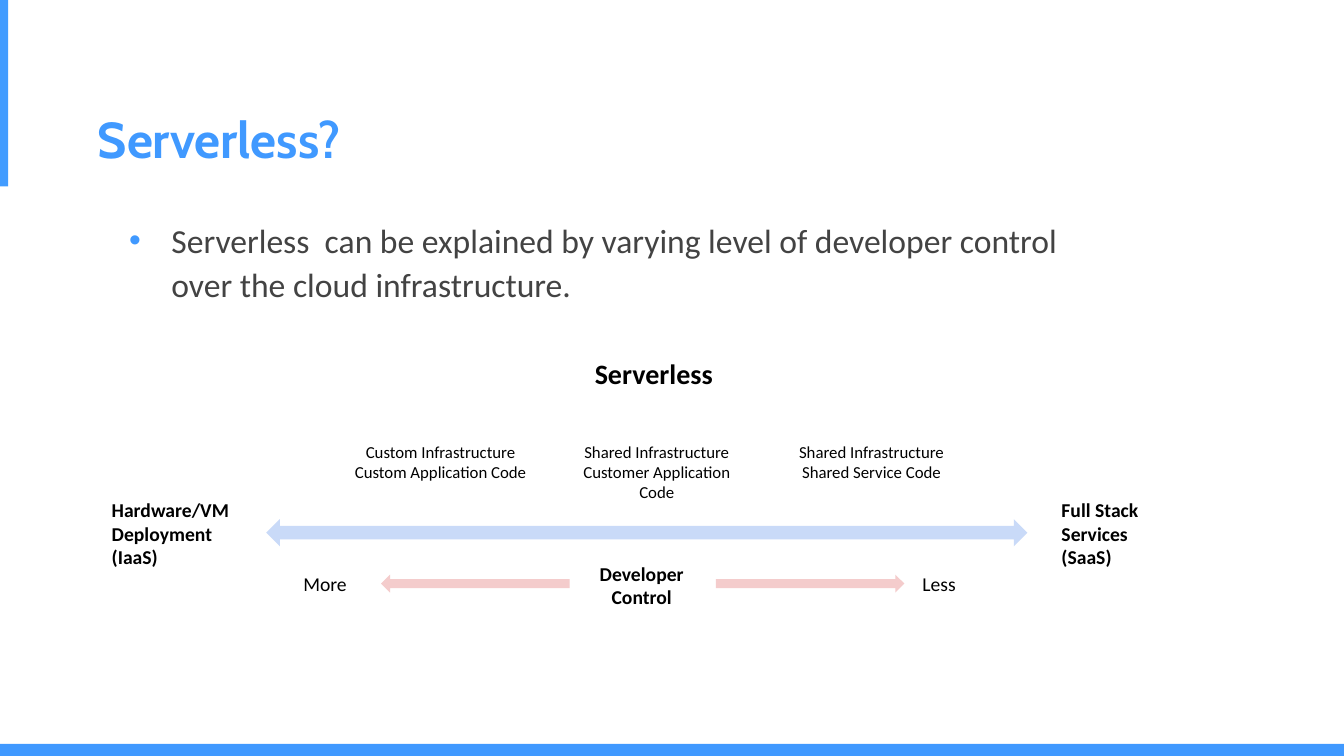
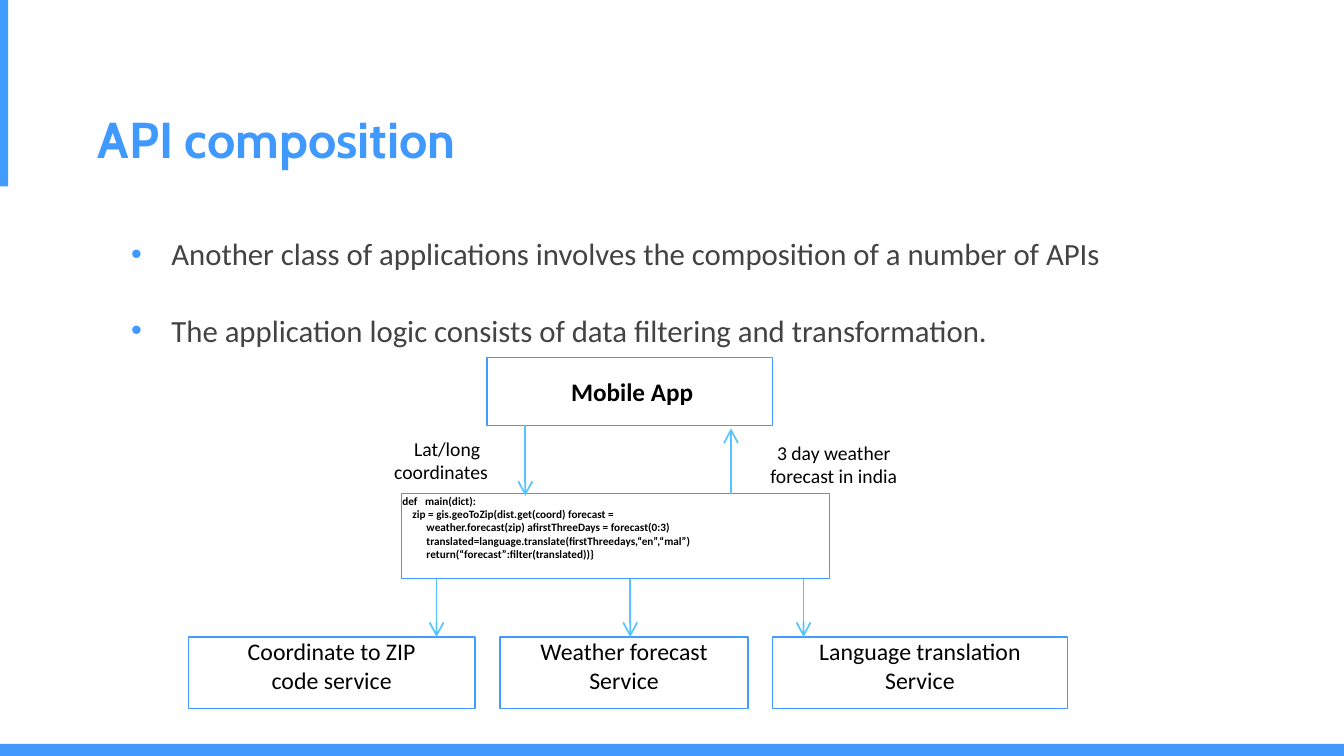
"""Build two slides on serverless control levels and API composition."""
from lxml.etree import SubElement
from pptx import Presentation
from pptx.dml.color import RGBColor
from pptx.enum.shapes import MSO_CONNECTOR, MSO_SHAPE
from pptx.enum.text import MSO_ANCHOR, PP_ALIGN
from pptx.oxml.ns import qn
from pptx.util import Inches, Pt

COLORS = {
    "brand": "4099FF",
    "edge": "429CFF",
    "arrow": "55C5FF",
    "body": "434343",
    "text": "000000",
    "span": "C9DAF8",
    "control": "F4CCCC",
}
LEFT, MID = PP_ALIGN.LEFT, PP_ALIGN.CENTER


def color(name):
    """Return the named colour."""
    return RGBColor.from_string(COLORS[name])


def indent(para, left, first=0):
    """Set the left and first-line indents of a paragraph."""
    props = para._p.get_or_add_pPr()
    props.set("marL", str(Inches(left)))
    props.set("indent", str(Inches(first)))


def bullet(para):
    """Give a paragraph a coloured round bullet."""
    props = para._p.get_or_add_pPr()
    tint = SubElement(props, qn("a:buClr"))
    SubElement(tint, qn("a:srgbClr"), val=COLORS["brand"])
    SubElement(props, qn("a:buFont"), typeface="Arial")
    SubElement(props, qn("a:buChar"), char="•")


def write(shape, text, size, bold=False, align=MID, inset=0.0,
          tint="text", face="Calibri", anchor=MSO_ANCHOR.TOP):
    """Fill a shape with styled text and return its paragraphs."""
    frame = shape.text_frame
    frame.word_wrap = True
    frame.vertical_anchor = anchor
    frame.margin_left = frame.margin_right = Inches(inset)
    frame.margin_top = frame.margin_bottom = Inches(inset)
    frame.text = text
    for para in frame.paragraphs:
        para.alignment = align
        for run in para.runs:
            run.font.name = face
            run.font.size = Pt(size)
            run.font.bold = bold
            run.font.color.rgb = color(tint)
    return frame.paragraphs


def label(slide, area, text, size, **style):
    """Add a text box and return its paragraphs."""
    box = slide.shapes.add_textbox(*map(Inches, area))
    return write(box, text, size, **style)


def block(slide, kind, area, fill):
    """Add a filled shape without an outline."""
    shape = slide.shapes.add_shape(kind, *map(Inches, area))
    shape.shadow.inherit = False
    shape.fill.solid()
    shape.fill.fore_color.rgb = color(fill)
    shape.line.fill.background()


def card(slide, area, text, size, width=0.96, **style):
    """Add an outlined box and return its paragraphs."""
    shape = slide.shapes.add_shape(MSO_SHAPE.RECTANGLE, *map(Inches, area))
    shape.shadow.inherit = False
    shape.fill.background()
    shape.line.color.rgb = color("edge")
    shape.line.width = Pt(width)
    return write(shape, text, size, **style)


def arrow(slide, x, start, end):
    """Add an upright arrow from start to end."""
    line = slide.shapes.add_connector(
        MSO_CONNECTOR.STRAIGHT, *map(Inches, (x, start, x, end)))
    line.line.color.rgb = color("arrow")
    line.line.width = Pt(1.25)
    SubElement(line.line._get_or_add_ln(), qn("a:tailEnd"),
               type="arrow", w="lg", len="lg")
    SubElement(line._element.spPr, qn("a:effectLst"))


def points(slide, height, text, size, space, first):
    """Add the bulleted body text."""
    paras = label(slide, (1.15, 2.1, 9.92, height), text, size,
                  align=LEFT, inset=0.05, tint="body")
    for para in paras:
        indent(para, 0.5, first)
        bullet(para)
        para.line_spacing = space
    for para in paras[1:]:
        para.space_before = Pt(15.1)


def page(deck, title):
    """Add a slide with the shared bands and title."""
    slide = deck.slides.add_slide(deck.slide_layouts[6])
    block(slide, MSO_SHAPE.RECTANGLE, (0, 7.38, 13.33, 0.12), "brand")
    block(slide, MSO_SHAPE.RECTANGLE, (0, 0, 0.08, 1.85), "edge")
    label(slide, (0.92, 0.65, 10.37, 1.45), title, 36, bold=True, align=LEFT,
          inset=0.05, tint="brand", face="Cabin", anchor=MSO_ANCHOR.MIDDLE)
    return slide


def levels(deck):
    """Build the slide on levels of control."""
    slide = page(deck, "Serverless?")
    points(slide, 1.15, "Serverless  can be explained by varying level of "
           "developer control over the cloud infrastructure.", 24, 1.08, -0.42)
    label(slide, (5.62, 3.44, 1.73, 0.65), "Serverless", 20,
          bold=True, inset=0.1)
    for x, width, text in (
        (3.31, 2.12, "Custom Infrastructure\nCustom Application Code"),
        (5.58, 1.87, "Shared Infrastructure\nCustomer Application Code"),
        (7.71, 1.87, "Shared Infrastructure\nShared Service Code"),
    ):
        label(slide, (x, 4.28, width, 0.65), text, 12, inset=0.1)
    for x, text in ((1.01, "Hardware/VM\nDeployment\n(IaaS)"),
                    (10.43, "Full Stack\nServices\n(SaaS)")):
        label(slide, (x, 4.84, 1.63, 0.91), text, 14,
              bold=True, align=LEFT, inset=0.1)
    block(slide, MSO_SHAPE.LEFT_RIGHT_ARROW, (2.64, 5.15, 7.55, 0.27), "span")
    for x, kind in ((3.78, MSO_SHAPE.LEFT_ARROW), (7.1, MSO_SHAPE.RIGHT_ARROW)):
        block(slide, kind, (x, 5.7, 1.87, 0.18), "control")
    for x, text in ((2.91, "More"), (9.05, "Less")):
        label(slide, (x, 5.57, 0.95, 0.44), text, 14, align=LEFT, inset=0.1)
    label(slide, (5.73, 5.47, 1.27, 0.65), "Developer\nControl", 14,
          bold=True, inset=0.1)


def compose(deck):
    """Build the slide on API composition."""
    slide = page(deck, "API composition")
    points(slide, 1.45, "Another class of applications involves the "
           "composition of a number of APIs\nThe application logic consists "
           "of data filtering and transformation.", 22, 1.5, -0.4)
    app = card(slide, (4.83, 3.55, 2.83, 0.67), "Mobile App", 18,
               bold=True, anchor=MSO_ANCHOR.MIDDLE)
    indent(app[0], 0.05)
    query = label(slide, (3.79, 4.33, 1.16, 0.39), "Lat/long coordinates", 14)
    indent(query[0], 0.01, 0.12)
    label(slide, (7.58, 4.37, 1.38, 0.67),
          "3 day weather forecast in india", 14)
    code = card(slide, (3.98, 4.9, 4.25, 0.84),
                "def   main(dict):\n"
                "    zip = gis.geoToZip(dist.get(coord) forecast =\n"
                "weather.forecast(zip) afirstThreeDays = forecast(0:3)\n"
                "translated=language.translate(firstThreedays,“en”,“mal”)\n"
                "return(“forecast”:filter(translated))}",
                8, width=0.75, bold=True, align=LEFT)
    for row, para in enumerate(code):
        indent(para, 0.01 if row < 2 else 0.25)
    for x, width, text in (
        (1.87, 2.84, "Coordinate to ZIP\ncode service"),
        (4.96, 2.46, "Weather forecast\nService"),
        (7.66, 2.93, "Language translation\nService"),
    ):
        card(slide, (x, 6.32, width, 0.71), text, 17)
    for x, start, end in ((5.21, 4.22, 4.92), (7.25, 4.9, 4.25),
                          (4.33, 5.74, 6.32), (6.25, 5.74, 6.32),
                          (7.97, 5.74, 6.32)):
        arrow(slide, x, start, end)


def main():
    """Build and save the deck."""
    deck = Presentation()
    deck.slide_width, deck.slide_height = Inches(13.33), Inches(7.5)
    levels(deck)
    compose(deck)
    deck.save("out.pptx")


if __name__ == "__main__":
    main()
